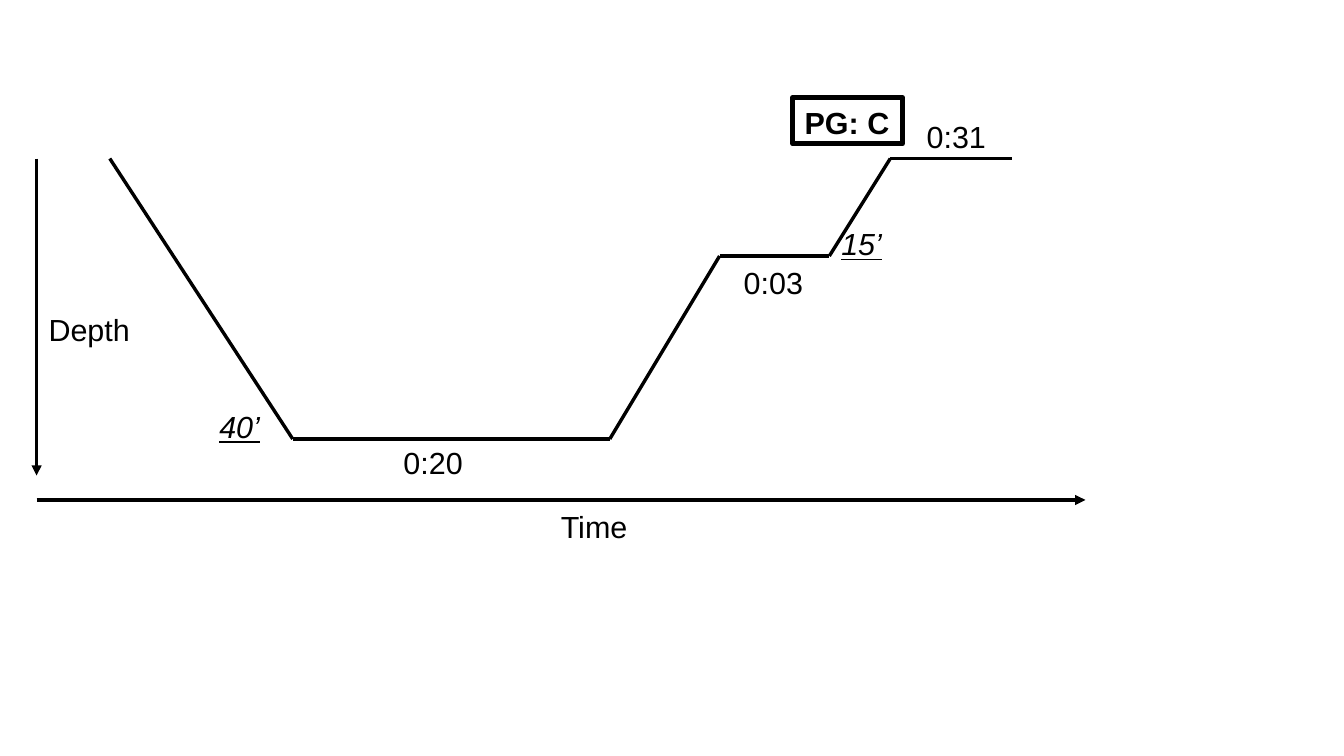
from lxml import etree
from pptx import Presentation
from pptx.dml.color import RGBColor
from pptx.enum import shapes, text
from pptx.oxml import ns
from pptx.util import Pt

BLACK = RGBColor(0, 0, 0)
WIDE, HIGH = 793.44, 446.4
ROW = 27.36  # height of a one-line label

# Dive profile: corners as (time, depth)
DIVE = [(64.8, 93.6), (172.8, 259.2), (360, 259.2), (424.8, 151.2),
        (489.6, 151.2), (525.6, 93.6), (597.6, 93.6)]

# Axes: start and end
AXES = [((21.6, 93.6), (21.6, 280.8)),
        ((21.6, 295.2), (640.8, 295.2))]

# Labels: text, left, top, width, format
PLAIN = {}
DEEP = {"italic": True, "underline": True}
GROUP = {"bold": True}
LABELS = [
    ("Depth", 21.6, 180, 64.8, PLAIN),
    ("Time", 324, 296.64, 57.6, PLAIN),
    ("40’", 122.4, 237.6, 43.2, DEEP),
    ("0:20", 231.12, 258.48, 50.4, PLAIN),
    ("15’", 489.6, 129.6, 43.2, DEEP),
    ("0:03", 432, 152.64, 50.4, PLAIN),
    ("0:31", 540, 66.24, 50.4, PLAIN),
    ("PG: C", 468, 57.6, 72, GROUP),
]
FRAME = (468, 57.6, 64.8, ROW)

deck = Presentation()
deck.slide_width, deck.slide_height = Pt(WIDE), Pt(HIGH)
slide = deck.slides.add_slide(deck.slide_layouts[6])


def add_line(start, end, arrow=False):
    line = slide.shapes.add_connector(
        shapes.MSO_CONNECTOR.STRAIGHT, *map(Pt, start + end))
    line.line.color.rgb = BLACK
    line.line.width = Pt(0)
    if arrow:
        etree.SubElement(line.line._get_or_add_ln(), ns.qn("a:tailEnd"),
                         type="triangle")
    etree.SubElement(line._element.spPr, ns.qn("a:effectLst"))


def add_label(words, left, top, width, form):
    box = slide.shapes.add_textbox(*map(Pt, (left, top, width, ROW)))
    frame = box.text_frame
    frame.word_wrap = True
    frame.auto_size = text.MSO_AUTO_SIZE.SHAPE_TO_FIT_TEXT
    run = frame.paragraphs[0].add_run()
    run.text = words
    run.font.color.rgb = BLACK
    for key, value in {"name": "Arial", "size": Pt(18), **form}.items():
        setattr(run.font, key, value)


# Profile and axes
for start, end in zip(DIVE, DIVE[1:]):
    add_line(start, end)
for start, end in AXES:
    add_line(start, end, arrow=True)

# Labels
for label in LABELS:
    add_label(*label)

# Frame around the pressure group
frame = slide.shapes.add_shape(shapes.MSO_SHAPE.RECTANGLE, *map(Pt, FRAME))
frame.shadow.inherit = False
frame.fill.background()
frame.line.color.rgb = BLACK
frame.line.width = Pt(2.89)

deck.save("out.pptx")
